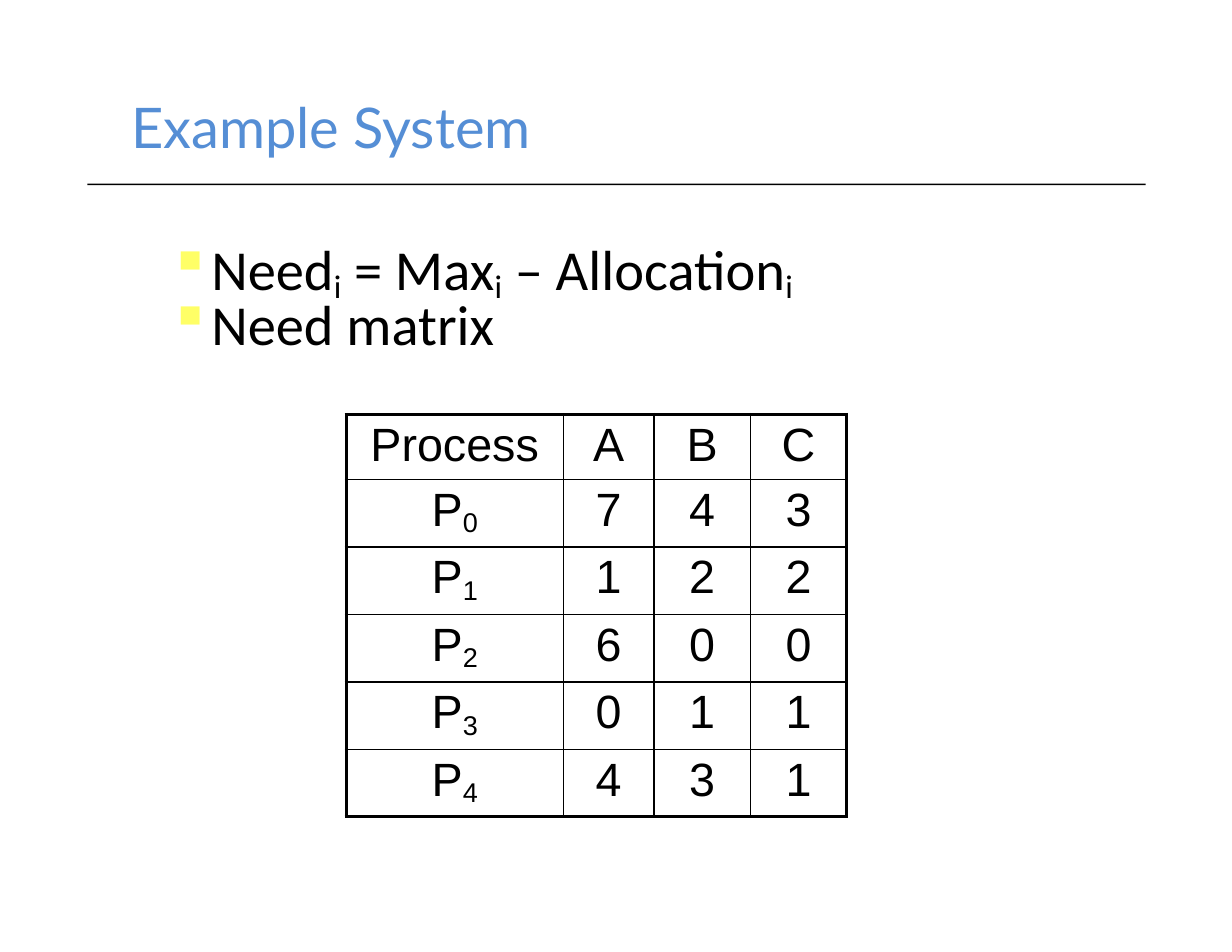
from lxml import etree
from pptx import Presentation
from pptx import util as u
from pptx.dml.color import RGBColor
from pptx.enum import shapes, text
from pptx.oxml.ns import qn

WIDTH, HEIGHT = u.Inches(11), u.Inches(8.5)
BLACK = RGBColor(0x00, 0x00, 0x00)
TITLE_BLUE = RGBColor(0x55, 0x8E, 0xD5)
BULLET_YELLOW = RGBColor(0xFF, 0xFF, 0x66)

SUBSCRIPT = "-14000"
THIN, THICK = u.Pt(1), u.Pt(2.25)
COLUMNS = [1.94, 0.81, 0.86, 0.86]
ROW_HEIGHT = 0.577
HEADER = ["Process", "A", "B", "C"]
NEED = [(7, 4, 3), (1, 2, 2), (6, 0, 0), (0, 1, 1), (4, 3, 1)]


def add_runs(p, parts, font, size, color):
    """Write parts in turn as normal and subscript runs."""
    for i, part in enumerate(parts):
        r = p.add_run()
        r.text = part
        r.font.name, r.font.size = font, u.Pt(size)
        r.font.color.rgb = color
        if i % 2:
            r.font._element.set("baseline", SUBSCRIPT)


def add_box(s, left, top, width, height):
    tf = s.shapes.add_textbox(*map(u.Inches, (left, top, width, height))).text_frame
    tf.word_wrap = True
    tf.margin_left = tf.margin_right = tf.margin_top = tf.margin_bottom = 0
    return tf


def add_bullet(p):
    pPr = p._p.get_or_add_pPr()
    pPr.set("marL", "0")
    pPr.set("indent", "0")
    color = etree.SubElement(pPr, qn("a:buClr"))
    etree.SubElement(color, qn("a:srgbClr"), val=str(BULLET_YELLOW))
    etree.SubElement(pPr, qn("a:buChar"), char="▪")


def add_rule(s):
    rule = s.shapes.add_shape(shapes.MSO_SHAPE.RECTANGLE, u.Inches(0.78),
                              u.Inches(1.64), u.Inches(9.45), u.Pt(1))
    rule.shadow.inherit = False
    rule.fill.solid()
    rule.fill.fore_color.rgb = BLACK
    rule.line.fill.background()


def set_borders(cell, widths):
    """Draw the left, right, top and bottom borders, in that order."""
    tcPr = cell._tc.get_or_add_tcPr()
    for i, (side, width) in enumerate(zip("LRTB", widths)):
        ln = etree.Element(qn(f"a:ln{side}"), w=str(width))
        fill = etree.SubElement(ln, qn("a:solidFill"))
        etree.SubElement(fill, qn("a:srgbClr"), val=str(BLACK))
        tcPr.insert(i, ln)


def fill_cell(cell, parts):
    cell.fill.background()
    cell.margin_left = cell.margin_right = u.Inches(0.08)
    cell.margin_top = cell.margin_bottom = u.Inches(0.04)
    p = cell.text_frame.paragraphs[0]
    p.alignment = text.PP_ALIGN.CENTER
    before = etree.SubElement(p._p.get_or_add_pPr(), qn("a:spcBef"))
    etree.SubElement(before, qn("a:spcPct"), val="20000")
    add_runs(p, parts, "Arial", 30, BLACK)


def add_need_table(s):
    rows = [[[name] for name in HEADER]]
    rows += [[["P", str(i)]] + [[str(n)] for n in need] for i, need in enumerate(NEED)]
    last_row, last_col = len(rows) - 1, len(COLUMNS) - 1
    table = s.shapes.add_table(
        len(rows), len(COLUMNS), u.Inches(3.09), u.Inches(3.7),
        u.Inches(sum(COLUMNS)), u.Inches(ROW_HEIGHT * len(rows))).table
    table.first_row = table.horz_banding = False
    for column, width in zip(table.columns, COLUMNS):
        column.width = u.Inches(width)
    for i, row in enumerate(rows):
        for j, parts in enumerate(row):
            cell = table.cell(i, j)
            fill_cell(cell, parts)
            outer = (j == 0, j == last_col, i == 0, i == last_row)
            set_borders(cell, [THICK if edge else THIN for edge in outer])


def main():
    prs = Presentation()
    prs.slide_width, prs.slide_height = WIDTH, HEIGHT
    s = prs.slides.add_slide(prs.slide_layouts[6])

    # Title and rule
    add_rule(s)
    tf = add_box(s, 1.17, 0.83, 7.42, 0.71)
    add_runs(tf.paragraphs[0], ["Example System"], "Lato", 36, TITLE_BLUE)

    # Definition of need
    tf = add_box(s, 1.51, 2.19, 7.91, 0.98)
    lines = [["Need", "i", " = Max", "i", " – Allocation", "i"], ["Need matrix"]]
    for i, parts in enumerate(lines):
        p = tf.add_paragraph() if i else tf.paragraphs[0]
        p.line_spacing = 0.8
        add_bullet(p)
        add_runs(p, parts, "Calibri", 36.3, BLACK)

    # Need matrix
    add_need_table(s)
    prs.save("out.pptx")


if __name__ == "__main__":
    main()
